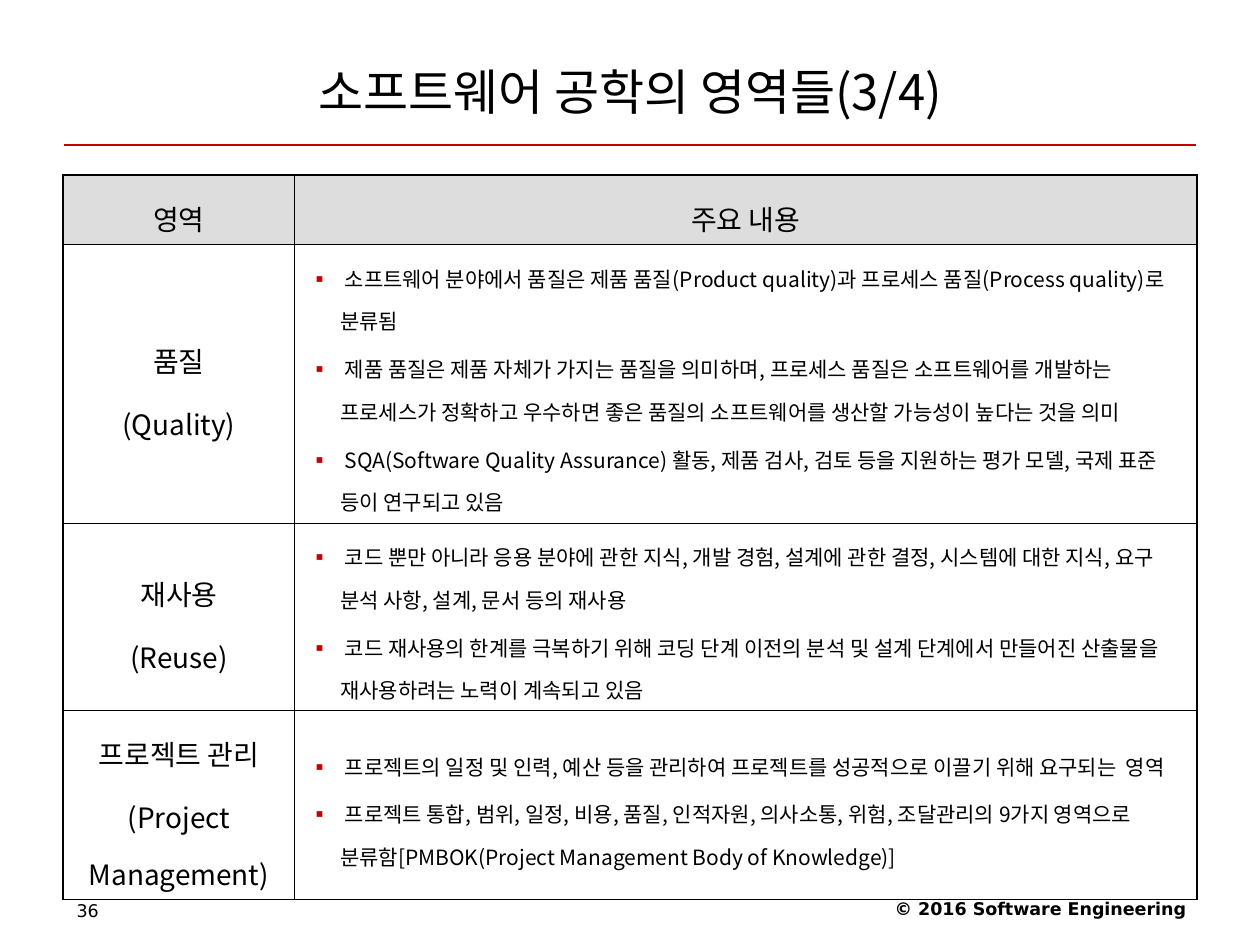
from lxml import etree
from pptx import Presentation
from pptx.dml.color import RGBColor
from pptx.enum import shapes, text
from pptx.oxml.ns import qn
from pptx.util import Inches, Pt

COLORS = {"text": "000000", "accent": "C40000", "header": "DDDDDD"}
BODY_FONT = "Noto Sans CJK KR"
FOOTER_FONT = "DejaVu Sans"
LEFT, CENTER, RIGHT = text.PP_ALIGN.LEFT, text.PP_ALIGN.CENTER, text.PP_ALIGN.RIGHT

TITLE = "소프트웨어 공학의 영역들(3/4)"
HEADERS = ["영역", "주요 내용"]
AREAS = [
    (["품질", "(Quality)"], [
        " 소프트웨어 분야에서 품질은 제품 품질(Product quality)과 프로세스 품질(Process quality)로 분류됨",
        " 제품 품질은 제품 자체가 가지는 품질을 의미하며, 프로세스 품질은 소프트웨어를 개발하는 "
        "프로세스가 정확하고 우수하면 좋은 품질의 소프트웨어를 생산할 가능성이 높다는 것을 의미",
        " SQA(Software Quality Assurance) 활동, 제품 검사, 검토 등을 지원하는 평가 모델, "
        "국제 표준 등이 연구되고 있음",
    ]),
    (["재사용", "(Reuse)"], [
        " 코드 뿐만 아니라 응용 분야에 관한 지식, 개발 경험, 설계에 관한 결정, 시스템에 대한 지식, "
        "요구 분석 사항, 설계, 문서 등의 재사용",
        " 코드 재사용의 한계를 극복하기 위해 코딩 단계 이전의 분석 및 설계 단계에서 만들어진 "
        "산출물을 재사용하려는 노력이 계속되고 있음",
    ]),
    (["프로젝트 관리", "(Project Management)"], [
        " 프로젝트의 일정 및 인력, 예산 등을 관리하여 프로젝트를 성공적으로 이끌기 위해 요구되는  영역",
        " 프로젝트 통합, 범위, 일정, 비용, 품질, 인적자원, 의사소통, 위험, 조달관리의 9가지 "
        "영역으로 분류함[PMBOK(Project Management Body of Knowledge)]",
    ]),
]
FOOTERS = [
    ("© 2016 Software Engineering", (6.34, 7.08, 3.17, 0.29), {"align": RIGHT, "bold": True}),
    ("36", (0.51, 7.09, 2.33, 0.28), {"align": LEFT}),
]
COLUMN_WIDTHS = [1.84, 7.16]
ROW_HEIGHTS = [0.55, 2.21, 1.49, 1.5]
OUTER_BORDER, INNER_BORDER = 1.08, 0.45


def add_child(parent, tag, **attributes):
    return etree.SubElement(parent, qn(tag), attributes)


def add_bullet(paragraph):
    properties = paragraph._p.get_or_add_pPr()
    properties.set("marL", str(Inches(0.24)))
    properties.set("indent", str(-Inches(0.28)))
    add_child(add_child(properties, "a:buClr"), "a:srgbClr", val=COLORS["accent"])
    add_child(properties, "a:buFont", typeface=BODY_FONT)
    add_child(properties, "a:buChar", char="▪")


def write_text(frame, lines, *, size, font=BODY_FONT, bold=False, align=LEFT,
               spacing=None, before=None, bullet=False):
    frame.word_wrap = True
    for index, line in enumerate(lines):
        paragraph = frame.add_paragraph() if index else frame.paragraphs[0]
        paragraph.alignment = align
        paragraph.line_spacing = spacing
        if index and before:
            paragraph.space_before = Pt(before)
        if bullet:
            add_bullet(paragraph)
        run = paragraph.add_run()
        run.text = line
        run.font.size, run.font.bold, run.font.name = Pt(size), bold, font
        run.font.color.rgb = RGBColor.from_string(COLORS["text"])
        properties = run._r.get_or_add_rPr()
        properties.set("kern", "0")
        add_child(properties, "a:ea", typeface=font)


def set_borders(cell, **widths):
    properties = cell._tc.get_or_add_tcPr()
    for side in "LRTB":
        line = add_child(properties, f"a:ln{side}", w=str(Pt(widths[side])))
        add_child(add_child(line, "a:solidFill"), "a:srgbClr", val=COLORS["text"])


def format_cell(table, row, column, lines, **text_format):
    def width(on_edge):
        return OUTER_BORDER if on_edge else INNER_BORDER

    cell = table.cell(row, column)
    set_borders(cell, L=width(column == 0), R=width(column == len(COLUMN_WIDTHS) - 1),
                T=width(row == 0), B=INNER_BORDER)
    if row == 0:
        cell.fill.solid()
        cell.fill.fore_color.rgb = RGBColor.from_string(COLORS["header"])
    else:
        cell.fill.background()
    cell.vertical_anchor = text.MSO_ANCHOR.MIDDLE
    cell.margin_left = cell.margin_right = Inches(0.12)
    cell.margin_top = cell.margin_bottom = Inches(0.05)
    write_text(cell.text_frame, lines, spacing=1.4, **text_format)


def add_area_table(slide):
    frame = slide.shapes.add_table(
        len(ROW_HEIGHTS), len(COLUMN_WIDTHS), Inches(0.5), Inches(1.39),
        Inches(sum(COLUMN_WIDTHS)), Inches(sum(ROW_HEIGHTS)))
    table = frame.table
    table.first_row = table.horz_banding = False
    for column, width in zip(table.columns, COLUMN_WIDTHS):
        column.width = Inches(width)
    for row, height in zip(table.rows, ROW_HEIGHTS):
        row.height = Inches(height)
    for column, header in enumerate(HEADERS):
        format_cell(table, 0, column, [header], size=16, align=CENTER)
    for row, (names, points) in enumerate(AREAS, start=1):
        format_cell(table, row, 0, names, size=16, align=CENTER, before=4)
        format_cell(table, row, 1, points, size=12, before=3, bullet=True)


def add_title(slide):
    title = slide.shapes.title
    title.left, title.top = Inches(0.5), Inches(0.3)
    title.width, title.height = Inches(9), Inches(0.85)
    title.text_frame.vertical_anchor = text.MSO_ANCHOR.MIDDLE
    write_text(title.text_frame, [TITLE], size=28, align=CENTER)


def add_rule(slide):
    rule = slide.shapes.add_connector(
        shapes.MSO_CONNECTOR.STRAIGHT, Inches(0.51), Inches(1.15), Inches(9.49), Inches(1.15))
    rule.line.color.rgb = RGBColor.from_string(COLORS["accent"])
    rule.line.width = Pt(0.75)
    add_child(rule._element.spPr, "a:effectLst")


def main():
    presentation = Presentation()
    presentation.slide_width, presentation.slide_height = Inches(10), Inches(7.5)
    slide = presentation.slides.add_slide(presentation.slide_layouts[5])
    add_rule(slide)
    for line, place, text_format in FOOTERS:
        box = slide.shapes.add_textbox(*map(Inches, place))
        write_text(box.text_frame, [line], size=10, font=FOOTER_FONT, **text_format)
    add_title(slide)
    add_area_table(slide)
    presentation.save("out.pptx")


if __name__ == "__main__":
    main()
